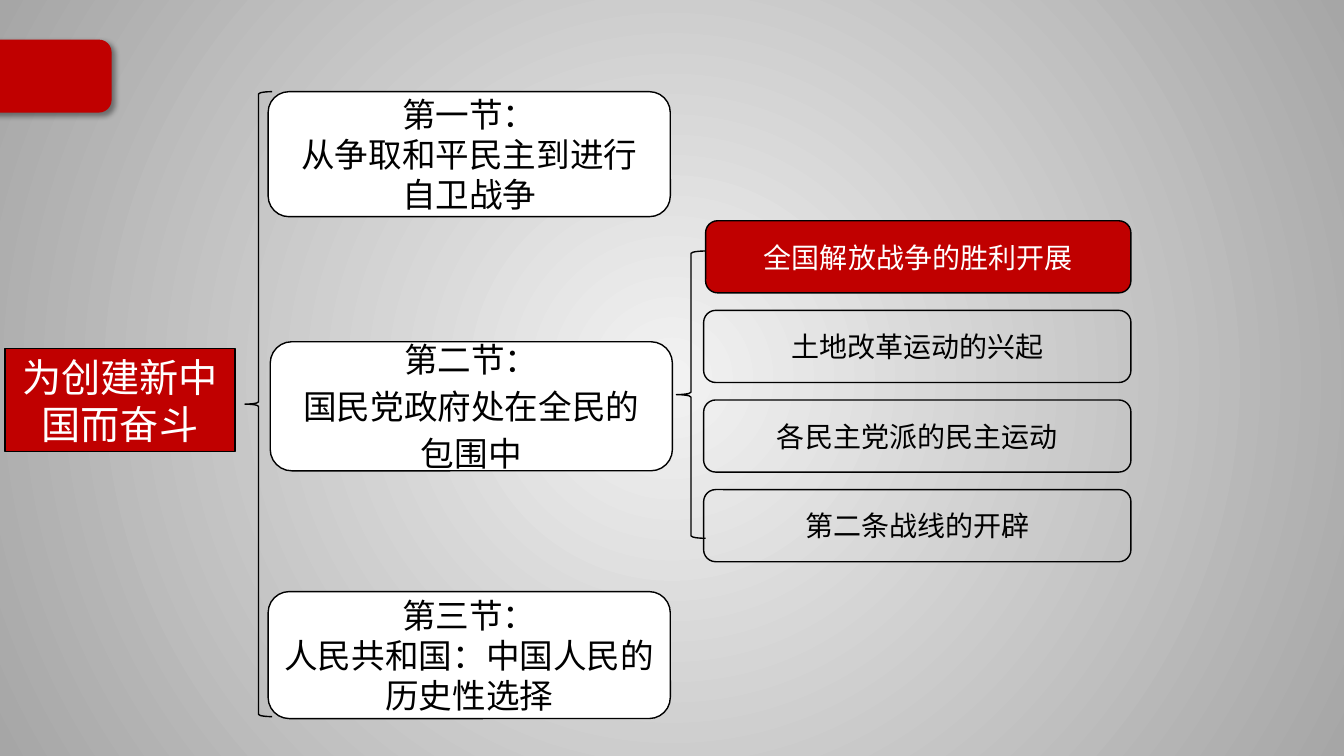
from lxml import etree
from pptx import Presentation
from pptx.dml.color import RGBColor
from pptx.enum.shapes import MSO_SHAPE as Kind
from pptx.enum.text import MSO_ANCHOR as Anchor, MSO_AUTO_SIZE as Fit, PP_ALIGN as Align
from pptx.oxml import parse_xml
from pptx.oxml.ns import nsdecls, qn
from pptx.util import Pt

FONT = "Noto Sans CJK SC"
COLORS = {"red": "C00000", "white": "FFFFFF", "black": "000000",
          "light": "F2F2F2", "gray": "A6A6A6"}

ROOT = "为创建新中国而奋斗"
# left, top, height, space before later lines, lines
PARTS = [
    (191.5, 65.5, 89.3, 0, ["第一节：", "从争取和平民主到进行", "自卫战争"]),
    (193, 244.1, 92.2, 4.8, ["第二节：", "国民党政府处在全民的", "包围中"]),
    (191.5, 422.6, 90.7, 0, ["第三节：", "人民共和国：中国人民的历史性选择"]),
]
TOPICS = ["全国解放战争的胜利开展", "土地改革运动的兴起",
          "各民主党派的民主运动", "第二条战线的开辟"]
TOPIC_TOP, TOPIC_STEP, TOPIC_RIGHT = 157.7, 64, 807.8


def rgb(name):
    return RGBColor.from_string(COLORS[name])


def paint(slide):
    """Fill the background with a radial gradient."""
    stops = "".join(
        f'<a:gs pos="{pos}"><a:srgbClr val="{COLORS[name]}"/></a:gs>'
        for pos, name in ((0, "light"), (100000, "gray")))
    slide.element.cSld.insert(0, parse_xml(
        f'<p:bg {nsdecls("p", "a")}><p:bgPr><a:gradFill rotWithShape="1">'
        f'<a:gsLst>{stops}</a:gsLst><a:path path="circle">'
        '<a:fillToRect l="50000" t="50000" r="50000" b="50000"/></a:path>'
        '</a:gradFill><a:effectLst/></p:bgPr></p:bg>'))


def style(shape, fill=None, line="black"):
    if fill:
        shape.fill.solid()
        shape.fill.fore_color.rgb = rgb(fill)
    else:
        shape.fill.background()
    shape.line.color.rgb = rgb(line)
    shape.line.width = Pt(1)


def add(slide, kind, box, **look):
    shape = slide.shapes.add_shape(kind, *map(Pt, box))
    shape.shadow.inherit = False
    style(shape, **look)
    return shape


def write(shape, lines, size=24, color="black", gap=0):
    frame = shape.text_frame
    frame.word_wrap = True
    frame.auto_size = Fit.NONE
    frame.vertical_anchor = Anchor.MIDDLE
    frame.margin_left = frame.margin_right = Pt(6)
    frame.margin_top = frame.margin_bottom = Pt(3.6)
    for i, line in enumerate(lines):
        para = frame.paragraphs[0] if i == 0 else frame.add_paragraph()
        para.alignment = Align.CENTER
        para.line_spacing = Pt(size * 1.2)
        para.space_before = Pt(gap if i else 0)
        run = para.add_run()
        run.text = line
        run.font.size = Pt(size)
        run.font.name = FONT
        run.font.color.rgb = rgb(color)
        east = etree.SubElement(run.font._element, qn("a:ea"))
        east.set("typeface", FONT)


def add_tab(slide):
    """Add the red corner tab with its soft shadow."""
    tab = add(slide, Kind.ROUNDED_RECTANGLE, (-13, 28.8, 92.2, 51.1),
              fill="red", line="red")
    glow = tab._element.spPr.find(qn("a:effectLst"))
    glow.append(parse_xml(
        f'<a:outerShdw {nsdecls("a")} blurRad="{Pt(4)}" dist="{Pt(3)}" '
        f'dir="2700000" rotWithShape="0"><a:srgbClr val="{COLORS["black"]}">'
        '<a:alpha val="40000"/></a:srgbClr></a:outerShdw>'))


def set_root(title):
    """Turn the title placeholder into the rounded root box."""
    title.left, title.top, title.width, title.height = map(
        Pt, (3.6, 249.1, 164.2, 73.4))
    title._element.spPr.append(parse_xml(
        f'<a:prstGeom {nsdecls("a")} prst="roundRect"><a:avLst/></a:prstGeom>'))
    style(title, fill="red")
    write(title, [ROOT], size=28, color="white")


def add_parts(slide):
    for left, top, height, gap, lines in PARTS:
        box = add(slide, Kind.ROUNDED_RECTANGLE, (left, top, 287.3, height),
                  fill="white")
        write(box, lines, gap=gap)


def add_topics(slide):
    for i, topic in enumerate(TOPICS):
        first = i == 0
        left = 504 if first else 502.6
        box = add(slide, Kind.ROUNDED_RECTANGLE,
                  (left, TOPIC_TOP + i * TOPIC_STEP, TOPIC_RIGHT - left, 51.5),
                  fill="red" if first else None)
        write(box, [topic], size=20, color="white" if first else "black")


def main():
    deck = Presentation()
    deck.slide_width, deck.slide_height = Pt(960), Pt(540)
    slide = deck.slides.add_slide(deck.slide_layouts[5])
    paint(slide)
    add_tab(slide)
    set_root(slide.shapes.title)
    for brace in ((175, 65.5, 19.4, 446.4), (483.1, 179.3, 20.9, 205.2)):
        add(slide, Kind.LEFT_BRACE, brace)
    add_parts(slide)
    add_topics(slide)
    deck.save("out.pptx")


if __name__ == "__main__":
    main()
